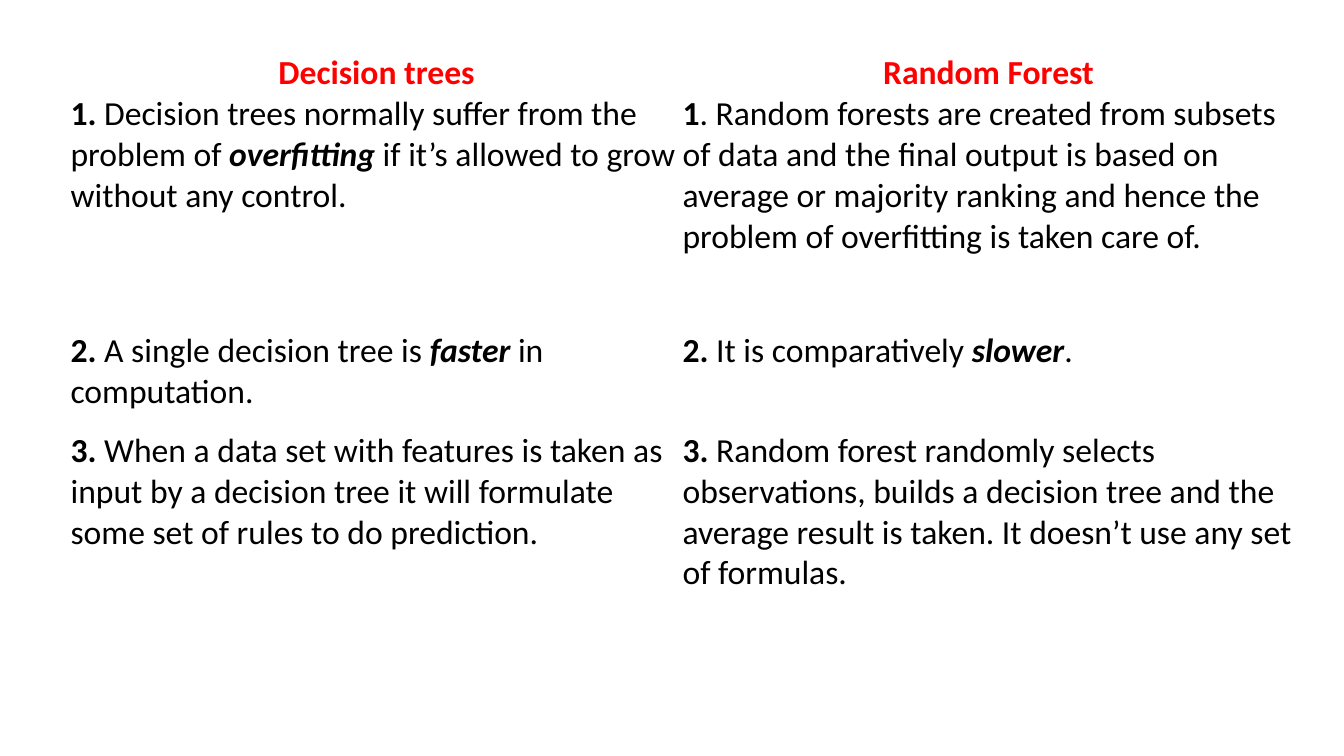
"""Build a slide comparing decision trees with random forests in a two-column table."""
import pptx
import pptx.dml.color
import pptx.enum.text
import pptx.util

COLORS = {"background": "FFFFFF", "heading": "FF0000", "body": "000000"}
FONT = {"name": "Calibri", "size": pptx.util.Pt(24)}
STYLES = {
    "plain": {"bold": False, "italic": False},
    "bold": {"bold": True, "italic": False},
    "key": {"bold": True, "italic": True},
}
MARGINS = dict.fromkeys(("margin_left", "margin_top", "margin_right", "margin_bottom"), 0)
ROW_HEIGHTS = [0.33, 2.35, 0.99, 2.29]
COLUMN_WIDTH = 6.07
ROWS = [
    [
        [("Decision trees", "bold")],
        [("Random Forest", "bold")],
    ],
    [
        [
            ("1. ", "bold"),
            ("Decision trees normally suffer from the problem of ", "plain"),
            ("overfitting", "key"),
            (" if it’s allowed to grow without any control.", "plain"),
        ],
        [
            ("1", "bold"),
            (". Random forests are created from subsets of data and the final output is based on "
             "average or majority ranking and hence the problem of overfitting is taken care of.", "plain"),
        ],
    ],
    [
        [
            ("2. ", "bold"),
            ("A single decision tree is ", "plain"),
            ("faster", "key"),
            (" in computation.", "plain"),
        ],
        [
            ("2. ", "bold"),
            ("It is comparatively ", "plain"),
            ("slower", "key"),
            (".", "plain"),
        ],
    ],
    [
        [
            ("3. ", "bold"),
            ("When a data set with features is taken as input by a decision tree it will "
             "formulate some set of rules to do prediction.", "plain"),
        ],
        [
            ("3. ", "bold"),
            ("Random forest randomly selects observations, builds a decision tree and the "
             "average result is taken. It doesn’t use any set of formulas.", "plain"),
        ],
    ],
]


def set_attributes(target, values):
    for name, value in values.items():
        setattr(target, name, value)


prs = pptx.Presentation()
prs.slide_width = pptx.util.Inches(13.33)
prs.slide_height = pptx.util.Inches(7.5)
s = prs.slides.add_slide(prs.slide_layouts[6])

box = (0.7, 0.52, 2 * COLUMN_WIDTH, sum(ROW_HEIGHTS))
table = s.shapes.add_table(len(ROWS), 2, *map(pptx.util.Inches, box)).table
set_attributes(table, {"first_row": True, "horz_banding": False})
for column in table.columns:
    column.width = pptx.util.Inches(COLUMN_WIDTH)

for i, (height, row) in enumerate(zip(ROW_HEIGHTS, ROWS)):
    table.rows[i].height = pptx.util.Inches(height)
    align = pptx.enum.text.PP_ALIGN.LEFT if i else pptx.enum.text.PP_ALIGN.CENTER
    color = COLORS["body" if i else "heading"]
    for j, runs in enumerate(row):
        cell = table.cell(i, j)
        set_attributes(cell, MARGINS)
        cell.fill.solid()
        cell.fill.fore_color.rgb = pptx.dml.color.RGBColor.from_string(COLORS["background"])
        p = cell.text_frame.paragraphs[0]
        p.alignment = align
        for text, style in runs:
            r = p.add_run()
            r.text = text
            set_attributes(r.font, FONT | STYLES[style])
            r.font.color.rgb = pptx.dml.color.RGBColor.from_string(color)

prs.save("out.pptx")
